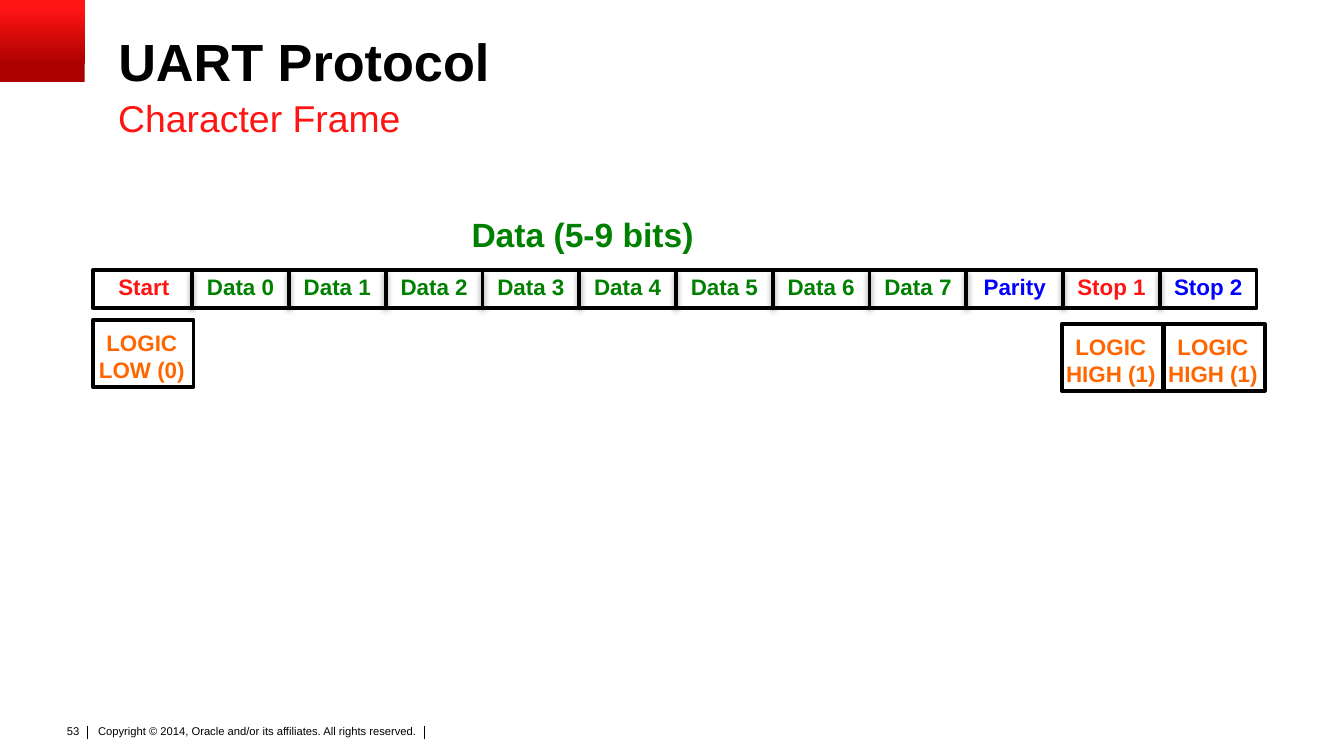
from lxml import etree
from pptx import Presentation
from pptx.dml.color import RGBColor
from pptx.enum.shapes import MSO_CONNECTOR, MSO_SHAPE
from pptx.enum.text import MSO_ANCHOR, PP_ALIGN
from pptx.oxml import parse_xml
from pptx.oxml.ns import nsdecls, qn
from pptx.util import Inches, Pt

RECTANGLE = MSO_SHAPE.RECTANGLE
STRAIGHT = MSO_CONNECTOR.STRAIGHT
TOP, MIDDLE, BOTTOM = MSO_ANCHOR.TOP, MSO_ANCHOR.MIDDLE, MSO_ANCHOR.BOTTOM
LEFT, CENTER, RIGHT = PP_ALIGN.LEFT, PP_ALIGN.CENTER, PP_ALIGN.RIGHT

COLORS = {
    "black": "000000",
    "white": "FFFFFF",
    "red": "FF1414",
    "dark red": "AA0000",
    "green": "008000",
    "blue": "0000FF",
    "orange": "FF6600",
}
SHADOW = (
    f'<a:effectLst {nsdecls("a")}><a:outerShdw blurRad="40000" dist="20000" dir="5400000" '
    'rotWithShape="0"><a:srgbClr val="000000"><a:alpha val="38000"/></a:srgbClr>'
    "</a:outerShdw></a:effectLst>"
)

FRAME_LEFT, FRAME_TOP, FRAME_WIDTH, FRAME_HEIGHT = 0.69, 2.01, 8.66, 0.28
FIRST_COLUMN, COLUMN = 0.71, 0.72
HEADING_LEFT, HEADING_WIDTH = 0.88, 9
FOOTER_TOP = 5.39

presentation = Presentation()
presentation.slide_width = Inches(10)
presentation.slide_height = presentation.slide_width * 9 // 16
slide = presentation.slides.add_slide(presentation.slide_layouts[5])
shapes = slide.shapes


def write_text(shape, text, size, color, bold=False, align=LEFT, anchor=MIDDLE, wrap=False):
    frame = shape.text_frame
    frame.text = text
    frame.word_wrap = wrap
    frame.vertical_anchor = anchor
    frame.margin_left = frame.margin_right = frame.margin_top = frame.margin_bottom = 0
    for paragraph in frame.paragraphs:
        paragraph.alignment = align
        for run in paragraph.runs:
            run.font.name = "Arial"
            run.font.size = Pt(size)
            run.font.bold = bold
            run.font.color.rgb = RGBColor.from_string(COLORS[color])


def add_line(x, top, bottom, width):
    line = shapes.add_connector(STRAIGHT, Inches(x), Inches(top), Inches(x), Inches(bottom))
    line.line.color.rgb = RGBColor.from_string(COLORS["black"])
    line.line.width = Pt(width)
    return line


corner = shapes.add_shape(RECTANGLE, 0, 0, Inches(0.63), Inches(0.61))
corner.shadow.inherit = False
corner.line.fill.background()
corner.fill.gradient()
corner.fill.gradient_angle = 90
for stop, position, color in zip(corner.fill.gradient_stops, (0.2, 0.9), ("dark red", "red")):
    stop.position = position
    stop.color.rgb = RGBColor.from_string(COLORS[color])

title = shapes.title
title.left, title.top = Inches(HEADING_LEFT), Inches(0.26)
title.width, title.height = Inches(HEADING_WIDTH), Inches(0.44)
write_text(title, "UART Protocol", 28, "black", bold=True, wrap=True)
title.text_frame.paragraphs[0].line_spacing = 0.9

subtitle = shapes.add_textbox(Inches(HEADING_LEFT), Inches(0.71), Inches(HEADING_WIDTH), Inches(0.33))
write_text(subtitle, "Character Frame", 20, "red", anchor=BOTTOM, wrap=True)

data_label = shapes.add_textbox(Inches(3.4), Inches(1.54), Inches(1.87), Inches(0.4))
write_text(data_label, "Data (5-9 bits)", 18, "green", bold=True, align=CENTER)

fields = [("Start", "red")]
fields += [(f"Data {bit}", "green") for bit in range(8)]
fields += [("Parity", "blue"), ("Stop 1", "red"), ("Stop 2", "blue")]

frame_box = shapes.add_shape(
    RECTANGLE, Inches(FRAME_LEFT), Inches(FRAME_TOP), Inches(FRAME_WIDTH), Inches(FRAME_HEIGHT)
)
frame_box.shadow.inherit = False
frame_box.fill.background()
frame_box.line.color.rgb = RGBColor.from_string(COLORS["black"])
frame_box.line.width = Pt(2)

for index, (name, color) in enumerate(fields):
    left = FIRST_COLUMN + index * COLUMN
    if index:
        divider = add_line(left, FRAME_TOP, FRAME_TOP + FRAME_HEIGHT, 2)
        divider._element.spPr.append(parse_xml(SHADOW))
    label = shapes.add_textbox(Inches(left), Inches(1.98), Inches(COLUMN), Inches(0.3))
    write_text(label, name, 12, color, bold=True, align=CENTER)

for left, top, level in ((0.69, 2.38, "LOW (0)"), (7.9, 2.41, "HIGH (1)"), (8.66, 2.41, "HIGH (1)")):
    logic_box = shapes.add_shape(RECTANGLE, Inches(left), Inches(top), Inches(0.75), Inches(0.5))
    logic_box.shadow.inherit = False
    logic_box.fill.solid()
    logic_box.fill.fore_color.rgb = RGBColor.from_string(COLORS["white"])
    logic_box.line.color.rgb = RGBColor.from_string(COLORS["black"])
    logic_box.line.width = Pt(2)
    write_text(logic_box, f"LOGIC\n{level}", 12, "orange", bold=True, align=CENTER)
    logic_box.text_frame.margin_top = Inches(0.04)
    logic_box.text_frame.margin_right = Inches(0.02)

page_number = shapes.add_textbox(Inches(0.39), Inches(FOOTER_TOP), Inches(0.2), Inches(0.1))
write_text(page_number, "53", 6, "black", align=RIGHT, anchor=TOP, wrap=True)

copyright_line = shapes.add_textbox(Inches(0.73), Inches(FOOTER_TOP), Inches(2.66), Inches(0.1))
write_text(
    copyright_line,
    "Copyright © 2014, Oracle and/or its affiliates. All rights reserved.",
    6, "black", anchor=TOP, wrap=True,
)

for x in (0.65, 3.16):
    separator = add_line(x, 5.4, 5.5, 0.5)
    etree.SubElement(separator._element.spPr, qn("a:effectLst"))

presentation.save("out.pptx")
